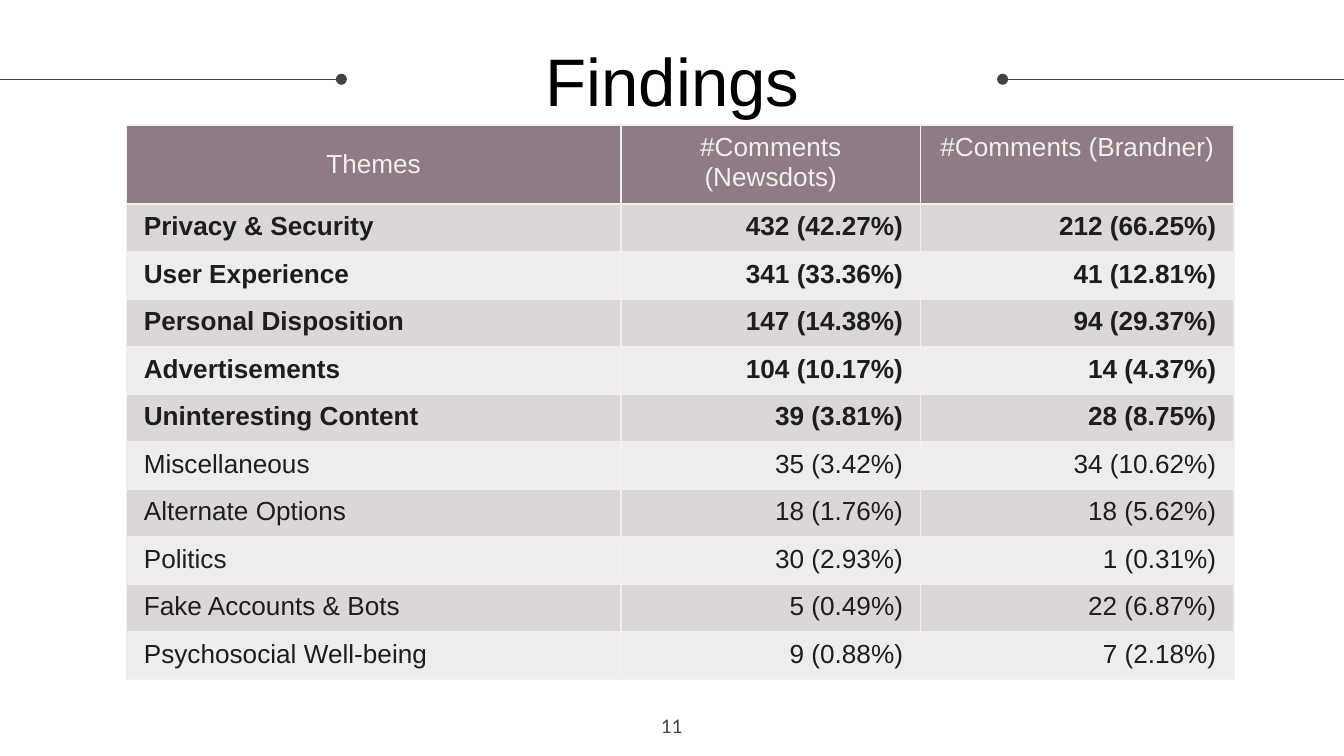
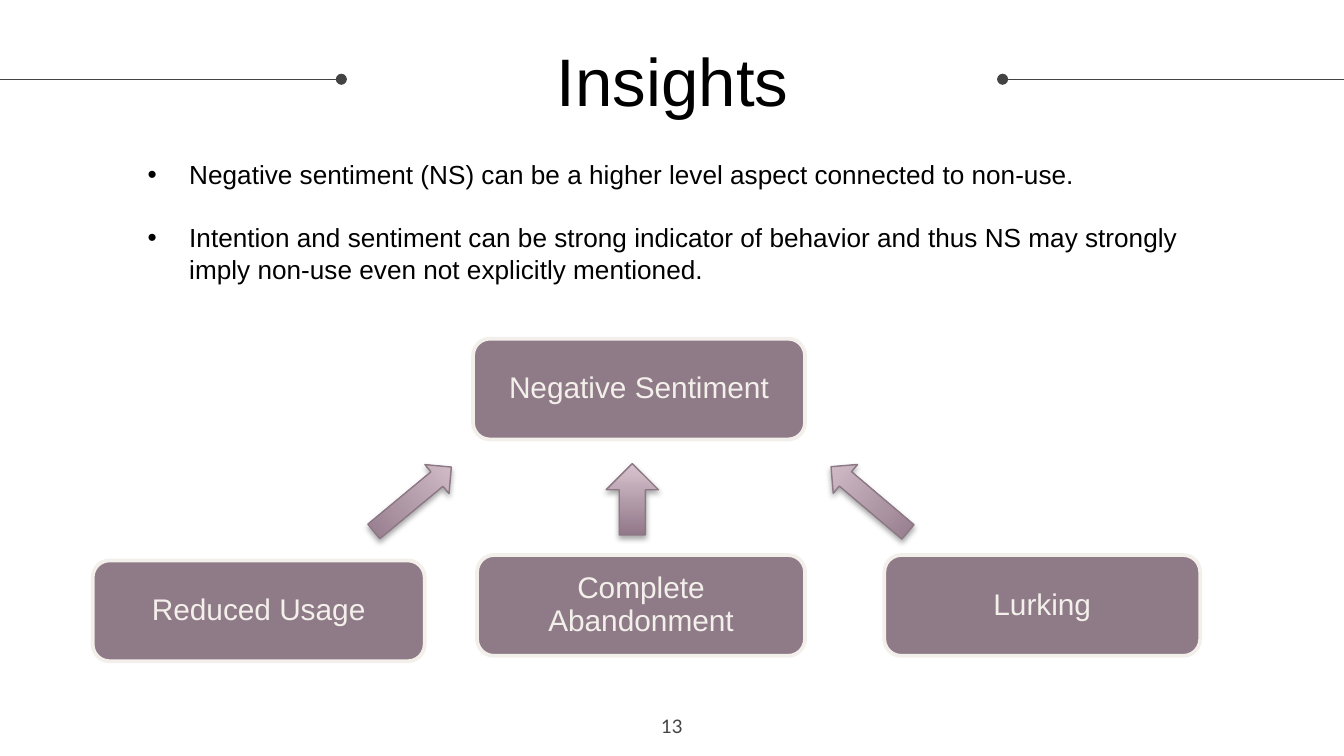
import dataclasses

import lxml.etree
import pptx
import pptx.dml.color
import pptx.enum.shapes
import pptx.enum.text
import pptx.oxml.ns
import pptx.util

Inches = pptx.util.Inches
Pt = pptx.util.Pt
Align = pptx.enum.text.PP_ALIGN
Anchor = pptx.enum.text.MSO_ANCHOR
Shape = pptx.enum.shapes.MSO_SHAPE


@dataclasses.dataclass(frozen=True)
class Theme:
    font: str = "Arial"
    number_font: str = "Lato"
    black: str = "000000"
    ink: str = "1D1D1B"
    rule: str = "434343"
    mauve: str = "8F7B87"
    cream: str = "F3EFEA"
    bands: tuple = ("DBD7D9", "EEECED")
    arrow_gradient: tuple = ("927888", "D8C4D0")
    arrow_line: str = "8C7884"
    title_size: int = 36
    box_size: int = 16
    body_size: int = 14
    number_size: int = 10


THEME = Theme()

HEADINGS = ("Themes", "#Comments (Newsdots)", "#Comments (Brandner)")
FINDINGS = (
    ("Privacy & Security", "432 (42.27%)", "212 (66.25%)"),
    ("User Experience", "341 (33.36%)", "41 (12.81%)"),
    ("Personal Disposition", "147 (14.38%)", "94 (29.37%)"),
    ("Advertisements", "104 (10.17%)", "14 (4.37%)"),
    ("Uninteresting Content", "39 (3.81%)", "28 (8.75%)"),
    ("Miscellaneous", "35 (3.42%)", "34 (10.62%)"),
    ("Alternate Options", "18 (1.76%)", "18 (5.62%)"),
    ("Politics", "30 (2.93%)", "1 (0.31%)"),
    ("Fake Accounts & Bots", "5 (0.49%)", "22 (6.87%)"),
    ("Psychosocial Well-being", "9 (0.88%)", "7 (2.18%)"),
)
MAIN_THEMES = 5
COLUMN_WIDTHS = (3.68, 2.23, 2.33)
HEADER_HEIGHT, ROW_HEIGHT = 0.4, 0.33

INSIGHTS = (
    "Negative sentiment (NS) can be a higher level aspect connected to non-use.",
    "Intention and sentiment can be strong indicator of behavior and thus NS may "
    "strongly imply non-use even not explicitly mentioned.",
)
# Label, left, top, width
BOXES = (
    ("Reduced Usage", 0.69, 4.17, 2.47),
    ("Complete Abandonment", 3.55, 4.13, 2.44),
    ("Lurking", 6.58, 4.13, 2.35),
    ("Negative Sentiment", 3.52, 2.52, 2.47),
)
# Left, top, width, height, rotation
ARROWS = (
    (2.93, 3.34, 0.28, 0.75, 50.3),
    (4.51, 3.45, 0.39, 0.53, 0),
    (6.33, 3.34, 0.28, 0.75, 310.3),
)


# Basic helpers
def rgb(value):
    return pptx.dml.color.RGBColor.from_string(value)


def add_xml(parent, tag, **attributes):
    return lxml.etree.SubElement(parent, pptx.oxml.ns.qn(tag), attributes)


def inches(*lengths):
    return [Inches(length) for length in lengths]


def add_run(paragraph, text, size, color, font=THEME.font, bold=False):
    run = paragraph.add_run()
    run.text = text
    run.font.name, run.font.size, run.font.bold = font, Pt(size), bold
    run.font.color.rgb = rgb(color)


def set_margins(frame, across, down):
    frame.margin_left = frame.margin_right = Inches(across)
    frame.margin_top = frame.margin_bottom = Inches(down)


def add_textbox(slide, *place):
    frame = slide.shapes.add_textbox(*inches(*place)).text_frame
    frame.word_wrap = True
    return frame


def add_centred_text(slide, text, place, size, color, font):
    frame = add_textbox(slide, *place)
    set_margins(frame, 0.1, 0.1)
    frame.vertical_anchor = Anchor.MIDDLE
    paragraph = frame.paragraphs[0]
    paragraph.alignment = Align.CENTER
    add_run(paragraph, text, size, color, font)


# Parts shared by the slides
def add_title_rule(slide, start, end, y=0.59):
    rule = slide.shapes.add_connector(
        pptx.enum.shapes.MSO_CONNECTOR.STRAIGHT, *inches(start, y, end, y))
    rule.line.color.rgb = rgb(THEME.rule)
    rule.line.width = Pt(0.75)
    add_xml(rule.line._get_or_add_ln(), "a:headEnd", type="oval")
    add_xml(rule._element.spPr, "a:effectLst")


def add_content_slide(deck, title, number):
    slide = deck.slides.add_slide(deck.slide_layouts[6])
    add_title_rule(slide, 2.54, -0.03)
    add_title_rule(slide, 7.46, 10.01)
    add_centred_text(slide, title, (2.54, 0.12, 4.93, 0.94),
                     THEME.title_size, THEME.black, THEME.font)
    add_centred_text(slide, number, (4.7, 5.19, 0.6, 0.43),
                     THEME.number_size, THEME.rule, THEME.number_font)
    return slide


# Findings table
def set_borders(cell):
    properties = cell._tc.get_or_add_tcPr()
    for side in "LRTB":
        border = add_xml(properties, f"a:ln{side}", w=str(Pt(1)))
        fill = add_xml(border, "a:solidFill")
        add_xml(fill, "a:srgbClr", val=THEME.cream)


def fill_cell(cell, text, fill, color, alignment, bold=False):
    set_margins(cell, 0.13, 0.06)
    set_borders(cell)
    cell.fill.solid()
    cell.fill.fore_color.rgb = rgb(fill)
    paragraph = cell.text_frame.paragraphs[0]
    paragraph.alignment = alignment
    add_run(paragraph, text, THEME.body_size, color, bold=bold)


def add_findings_table(slide):
    height = HEADER_HEIGHT + ROW_HEIGHT * len(FINDINGS)
    table = slide.shapes.add_table(
        len(FINDINGS) + 1, len(HEADINGS),
        *inches(0.94, 0.93, sum(COLUMN_WIDTHS), height)).table
    table.first_row = table.horz_banding = False
    for column, width in zip(table.columns, COLUMN_WIDTHS):
        column.width = Inches(width)
    for index, row in enumerate(table.rows):
        row.height = Inches(ROW_HEIGHT if index else HEADER_HEIGHT)

    for column, heading in enumerate(HEADINGS):
        fill_cell(table.cell(0, column), heading, THEME.mauve, THEME.cream,
                  Align.CENTER)
    table.cell(0, 0).vertical_anchor = Anchor.MIDDLE

    for index, finding in enumerate(FINDINGS):
        for column, text in enumerate(finding):
            fill_cell(table.cell(index + 1, column), text,
                      THEME.bands[index % 2], THEME.ink,
                      Align.RIGHT if column else Align.LEFT,
                      bold=index < MAIN_THEMES)


# Insights text and diagram
def add_bullets(slide, points):
    frame = add_textbox(slide, 1, 1.13, 8.3, 1.04)
    for index, point in enumerate(points):
        paragraph = frame.add_paragraph() if index else frame.paragraphs[0]
        if index:
            paragraph.space_before = Pt(17)
        properties = paragraph._p.get_or_add_pPr()
        properties.set("marL", str(Inches(0.31)))
        properties.set("indent", str(Inches(-0.31)))
        bullet_color = add_xml(properties, "a:buClr")
        add_xml(bullet_color, "a:srgbClr", val=THEME.black)
        add_xml(properties, "a:buFont", typeface=THEME.font)
        add_xml(properties, "a:buChar", char="•")
        add_run(paragraph, point, THEME.body_size, THEME.black)


def add_box(slide, label, left, top, width):
    box = slide.shapes.add_shape(
        Shape.ROUNDED_RECTANGLE, *inches(left, top, width, 0.75))
    box.shadow.inherit = False
    box.fill.solid()
    box.fill.fore_color.rgb = rgb(THEME.mauve)
    box.line.color.rgb = rgb(THEME.cream)
    box.line.width = Pt(2)
    frame = box.text_frame
    frame.word_wrap = True
    frame.vertical_anchor = Anchor.MIDDLE
    set_margins(frame, 0.1, 0.1)
    paragraph = frame.paragraphs[0]
    paragraph.alignment = Align.CENTER
    paragraph.line_spacing = 0.9
    add_run(paragraph, label, THEME.box_size, THEME.cream)


def add_up_arrow(slide, left, top, width, height, rotation):
    arrow = slide.shapes.add_shape(
        Shape.UP_ARROW, *inches(left, top, width, height))
    arrow.rotation = rotation
    arrow.fill.gradient()
    arrow.fill.gradient_angle = 90
    for stop, color in zip(arrow.fill.gradient_stops, THEME.arrow_gradient):
        stop.color.rgb = rgb(color)
    arrow.line.color.rgb = rgb(THEME.arrow_line)
    arrow.line.width = Pt(0.75)
    # Soft shadow straight below
    arrow.shadow.inherit = False
    effects = arrow._element.spPr.find(pptx.oxml.ns.qn("a:effectLst"))
    shadow = add_xml(effects, "a:outerShdw", blurRad=str(Pt(3.1)),
                     dist=str(Pt(1.8)), dir="5400000", rotWithShape="0")
    shade = add_xml(shadow, "a:srgbClr", val=THEME.black)
    add_xml(shade, "a:alpha", val="35000")


def main():
    deck = pptx.Presentation()
    # Widescreen, 16:9
    deck.slide_width = Inches(10)
    deck.slide_height = deck.slide_width * 9 // 16

    findings = add_content_slide(deck, "Findings", "11")
    add_findings_table(findings)

    insights = add_content_slide(deck, "Insights", "13")
    add_bullets(insights, INSIGHTS)
    for box in BOXES:
        add_box(insights, *box)
    for arrow in ARROWS:
        add_up_arrow(insights, *arrow)

    deck.save("out.pptx")


if __name__ == "__main__":
    main()
